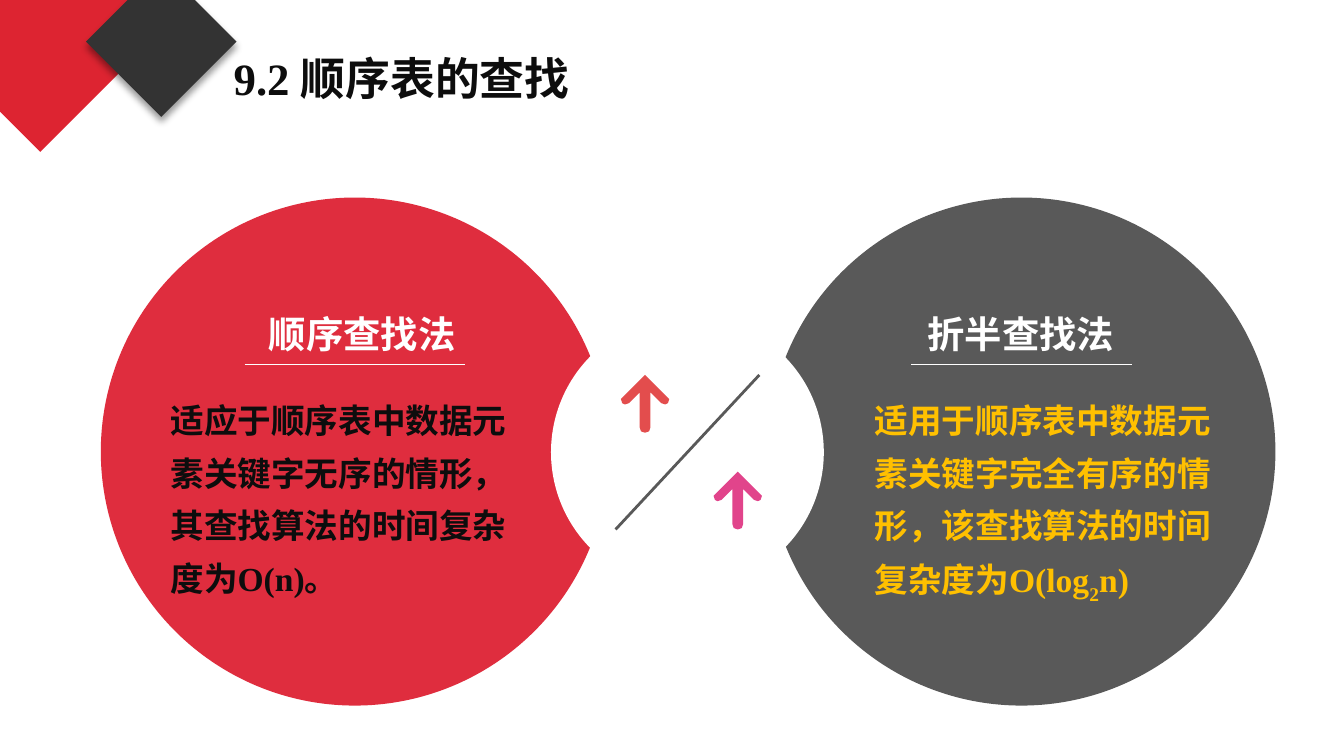
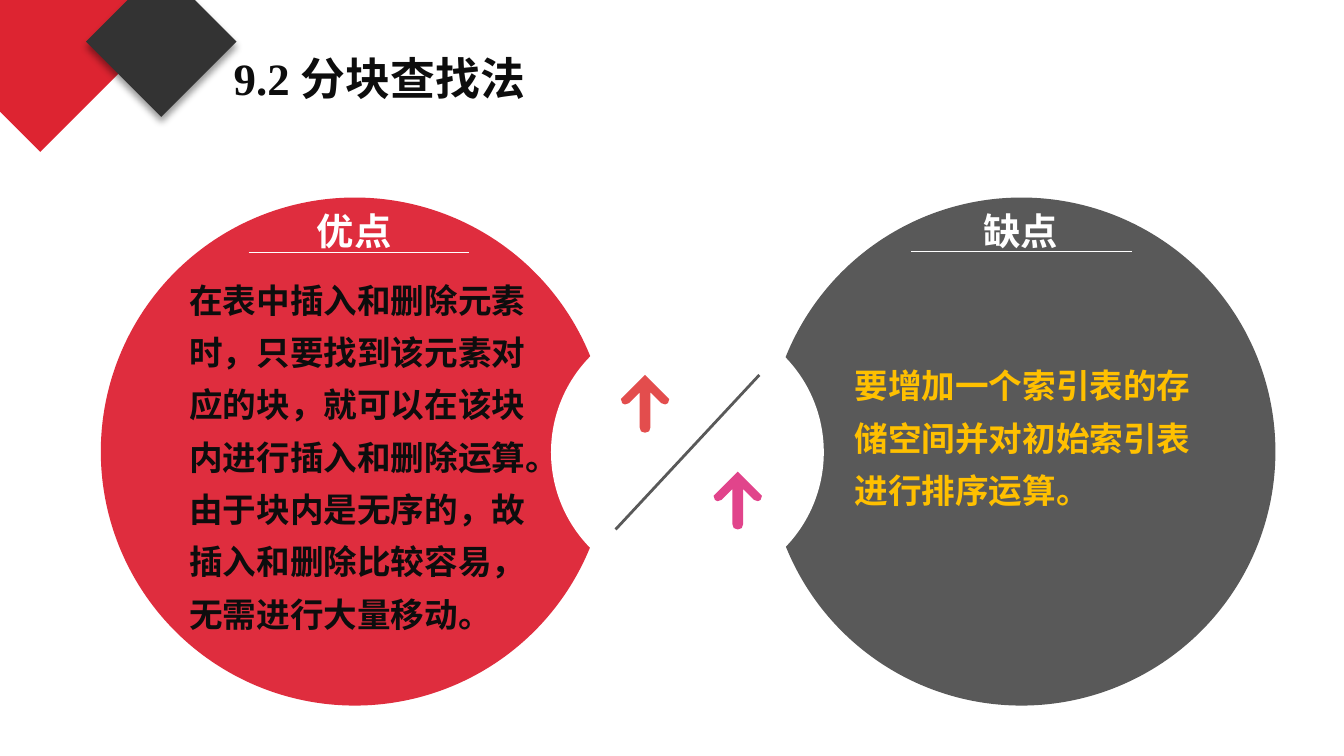
from lxml.etree import SubElement as Sub
from pptx import Presentation
from pptx.dml.color import RGBColor as RGB
from pptx.enum.shapes import MSO_CONNECTOR as Conn, MSO_SHAPE as Kind
from pptx.enum.text import PP_ALIGN as Align
from pptx.oxml.ns import qn
from pptx.util import Inches, Pt

FONT = "Times New Roman"
HUES = {
    "red": "DF2D3E", "gray": "595959", "white": "FFFFFF", "ink": "0D0D0D",
    "gold": "FFC000", "coral": "E34D4D", "pink": "E1448B",
    "flag": "DD2431", "dark": "333333",
}

# Discs and the white gap that bites into both: colour, left, top, size
DISCS = [("red", 0.75, 1.47, 3.78), ("gray", 5.71, 1.47, 3.78), ("white", 4.1, 2.35, 2.03)]

# Right half of an arrow, measured from its tip
HALF = [(0, 0), (0.16, 0.16), (0.18, 0.18), (0.17, 0.21), (0.15, 0.22), (0.12, 0.21),
        (0.04, 0.13), (0.04, 0.39), (0.03, 0.42), (0, 0.43)]
ARROW = HALF + [(-x, y) for x, y in HALF[-2:0:-1]]
BIG = [(0, 0.89), (-0.89, 0), (0, -0.89), (0.89, 0)]
SMALL = [(0, 0.56), (-0.56, 0), (0, -0.56), (0.56, 0)]
FORMS = [("coral", 4.8, 2.79, ARROW), ("pink", 5.49, 3.51, ARROW),
         ("flag", 0.3, 0.24, BIG), ("dark", 1.2, 0.31, SMALL)]

# Each side: head, its left and top, rule left and top, body, its box, body colour
PAGES = [
    ("9.2 顺序表的查找", 2.73, [
        ("顺序查找法", 1.47, 2.2, 1.82, 2.71,
         ["适应于顺序表中数据元素关键字无序的情形，其查找算法的时间复杂度为O(n)。"],
         (1.17, 2.84, 2.84, 1.64), "ink"),
        ("折半查找法", 6.37, 2.2, 6.78, 2.71,
         ["适用于顺序表中数据元素关键字完全有序的情形，该查找算法的时间复杂度为O(log_2_n)"],
         (6.41, 2.84, 2.79, 1.64), "gold"),
    ]),
    ("9.2 分块查找法", 2.39, [
        ("优点", 1.41, 1.43, 1.85, 1.88,
         ["在表中插入和删除元素时，只要找到该元素对应的块，就可以在该块内进行插入和删除运算。",
          "由于块内是无序的，故插入和删除比较容易，无需进行大量移动。"],
         (1.31, 1.94, 2.84, 2.82), "ink"),
        ("缺点", 6.37, 1.43, 6.78, 1.87,
         ["要增加一个索引表的存储空间并对初始索引表进行排序运算。"],
         (6.26, 2.58, 2.79, 1.24), "gold"),
    ]),
]


def paint(shape, hue):
    """Give a shape a flat fill without outline or shadow."""
    shape.shadow.inherit = False
    shape.fill.solid()
    shape.fill.fore_color.rgb = RGB.from_string(HUES[hue])
    shape.line.fill.background()


def write(slide, paras, box, size=18, hue="ink", align=Align.LEFT, lead=1.0):
    """Add a bold text box; parts between underscores are subscripts."""
    frame = slide.shapes.add_textbox(*map(Inches, box)).text_frame
    frame.word_wrap = True
    for i, text in enumerate(paras):
        para = frame.add_paragraph() if i else frame.paragraphs[0]
        para.alignment = align
        para.line_spacing = lead
        for j, part in enumerate(text.split("_")):
            run = para.add_run()
            run.text = part
            run.font.size = Pt(size)
            run.font.bold = True
            run.font.name = FONT
            run.font.color.rgb = RGB.from_string(HUES[hue])
            if j % 2:
                run._r.get_or_add_rPr().set("baseline", "-25000")


deck = Presentation()
deck.slide_width = Inches(10)
deck.slide_height = deck.slide_width * 9 // 16

for title, width, sides in PAGES:
    slide = deck.slides.add_slide(deck.slide_layouts[6])
    shapes = slide.shapes

    for hue, x, y, size in DISCS:
        paint(shapes.add_shape(Kind.OVAL, Inches(x), Inches(y), Inches(size), Inches(size)), hue)

    rules = [((x, y, x + 1.64, y), "white", 0.5) for _, _, _, x, y, *_ in sides]
    for ends, hue, weight in [((5.65, 2.79, 4.58, 3.94), "gray", 1.5)] + rules:
        rule = shapes.add_connector(Conn.STRAIGHT, *map(Inches, ends))
        rule.line.color.rgb = RGB.from_string(HUES[hue])
        rule.line.width = Pt(weight)
        Sub(rule._element.spPr, qn("a:effectLst"))

    for head, x, y, _, _, body, box, hue in sides:
        write(slide, body, box, hue=hue, lead=1.3)
        write(slide, [head], (x, y, 2.45, 0.47), size=20, hue="white",
              align=Align.CENTER, lead=1.2)
    write(slide, [title], (1.64, 0.33, width, 0.5), size=24)

    for hue, x, y, form in FORMS:
        pts = [(Inches(x + dx), Inches(y + dy)) for dx, dy in form]
        pen = shapes.build_freeform(*pts[0])
        pen.add_line_segments(pts[1:], close=True)
        shape = pen.convert_to_shape()
        paint(shape, hue)
        if hue == "dark":
            glow = Sub(shape._element.spPr.find(qn("a:effectLst")), qn("a:outerShdw"),
                       blurRad=str(Pt(4)), dist=str(Pt(3)), dir="5400000",
                       algn="t", rotWithShape="0")
            tint = Sub(glow, qn("a:srgbClr"), val="000000")
            Sub(tint, qn("a:alpha"), val="40000")

deck.save("out.pptx")
